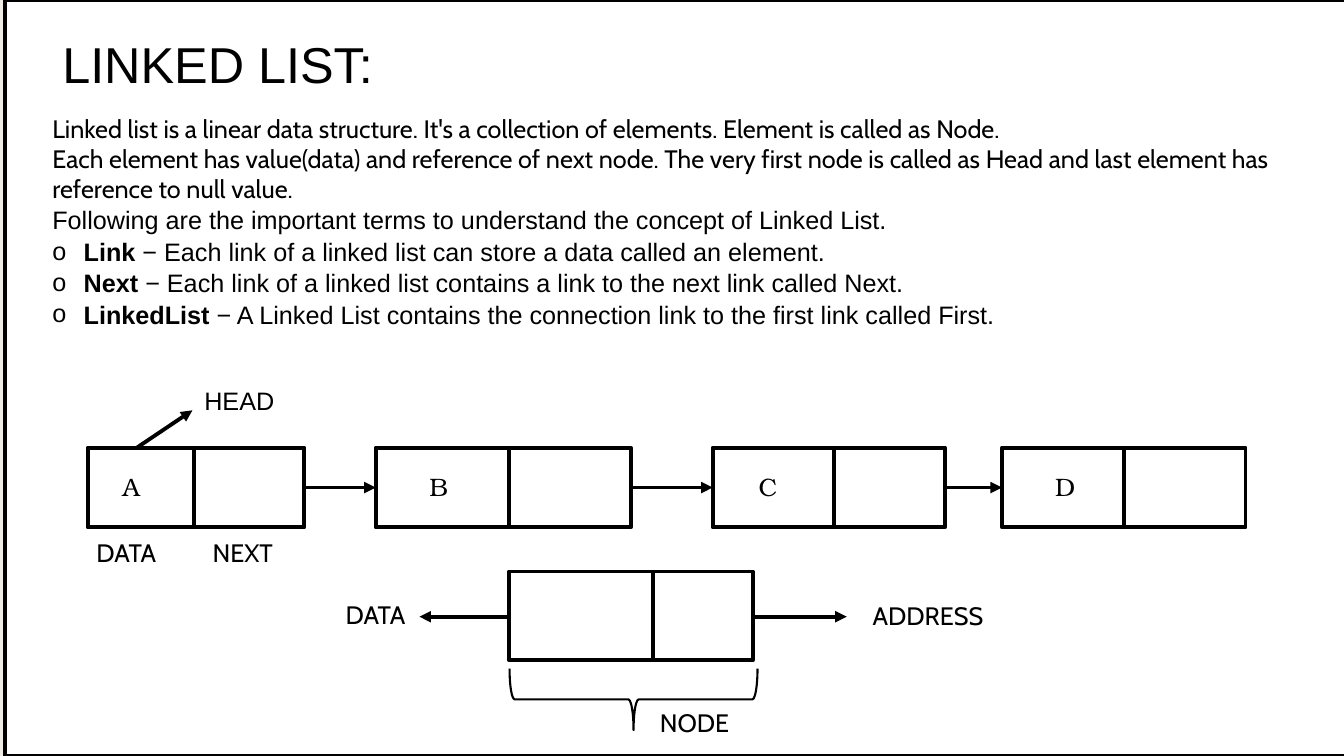
from lxml import etree
from pptx import Presentation
from pptx.dml import color
from pptx.enum import shapes, text
from pptx.oxml import ns
from pptx.util import Cm, Pt

BLACK, WHITE, PAPER = "000000", "FFFFFF", "EFEDE3"
SANS, LABEL, SERIF = "Arial", "Cabin", "TeX Gyre Bonum"
HEAVY, THIN = 2.75, 1.5
CHAIN_TOP, CHAIN_HEIGHT = 11.28, 2.01
DETAIL_TOP, DETAIL_HEIGHT = 14.4, 2.24
INDENT = 0.79

# letter, left edge, divider, right edge, left of the letter
CHAIN = [
    ("A", 2.21, 4.88, 7.67, 2.84),
    ("B", 9.47, 12.83, 15.9, 10.57),
    ("C", 17.96, 21.03, 23.82, 18.87),
    ("D", 25.25, 28.32, 31.39, 26.34),
]
# wording, left, top, width, font
CAPTIONS = [
    ("HEAD", 4.9, 9.58, 3, SANS),
    ("DATA", 2.18, 13.41, 2.6, LABEL),
    ("NEXT", 5.11, 13.41, 2.6, LABEL),
    ("DATA", 8.46, 14.99, 4.04, LABEL),
    ("ADDRESS", 21.74, 15.01, 4.45, LABEL),
    ("NODE", 16.38, 17.7, 4.19, LABEL),
]
INTRO = [
    "Linked list is a linear data structure. It's a collection of elements. "
    "Element is called as Node.",
    "Each element has value(data) and reference of next node. The very first node "
    "is called as Head and last element has reference to null value.",
]
TERMS_LEAD = "Following are the important terms to understand the concept of Linked List."
TERMS = [
    ("Link", "Each link of a linked list can store a data called an element."),
    ("Next", "Each link of a linked list contains a link to the next link called Next."),
    ("LinkedList", "A Linked List contains the connection link to the first link called First."),
]


def rgb(code):
    return color.RGBColor.from_string(code)


def add_run(paragraph, wording, font=SANS, size=18, bold=False, ink=BLACK):
    run = paragraph.add_run()
    run.text = wording
    run.font.name = font
    run.font.size = Pt(size)
    run.font.bold = bold
    run.font.color.rgb = rgb(ink)


def add_frame(slide, left, top, width, height):
    frame = slide.shapes.add_textbox(Cm(left), Cm(top), Cm(width), Cm(height)).text_frame
    frame.word_wrap = True
    frame.auto_size = text.MSO_AUTO_SIZE.SHAPE_TO_FIT_TEXT
    return frame


def add_label(slide, wording, left, top, width, height=1.02, **style):
    frame = add_frame(slide, left, top, width, height)
    add_run(frame.paragraphs[0], wording, **style)


def add_outline(slide, kind, left, top, width, height, fill=WHITE, weight=HEAVY):
    outline = slide.shapes.add_shape(kind, Cm(left), Cm(top), Cm(width), Cm(height))
    outline.shadow.inherit = False
    if fill:
        outline.fill.solid()
        outline.fill.fore_color.rgb = rgb(fill)
    else:
        outline.fill.background()
    outline.line.color.rgb = rgb(BLACK)
    outline.line.width = Pt(weight)
    return outline


def add_node(slide, left, divider, right, top, height):
    for start, end in ((left, divider), (divider, right)):
        add_outline(slide, shapes.MSO_SHAPE.RECTANGLE, start, top, end - start, height)


def add_arrow(slide, x1, y1, x2, y2):
    arrow = slide.shapes.add_connector(
        shapes.MSO_CONNECTOR.STRAIGHT, Cm(x1), Cm(y1), Cm(x2), Cm(y2))
    arrow.line.color.rgb = rgb(BLACK)
    arrow.line.width = Pt(HEAVY)
    etree.SubElement(arrow.line._get_or_add_ln(), ns.qn("a:tailEnd"), type="triangle")
    etree.SubElement(arrow._element.spPr, ns.qn("a:effectLst"))


def add_bullet(paragraph):
    props = paragraph._p.get_or_add_pPr()
    props.set("marL", str(Cm(INDENT)))
    props.set("indent", str(-Cm(INDENT)))
    etree.SubElement(props, ns.qn("a:buFont"), typeface=SANS)
    etree.SubElement(props, ns.qn("a:buChar"), char="o")


def add_description(slide):
    frame = add_frame(slide, 1.07, 2.72, 32.13, 5.7)
    for index, sentence in enumerate(INTRO):
        paragraph = frame.add_paragraph() if index else frame.paragraphs[0]
        add_run(paragraph, sentence, font=LABEL)

    def add_term_line():
        line = frame.add_paragraph()
        line.alignment = text.PP_ALIGN.JUSTIFY
        line.line_spacing = 1.04
        return line

    add_run(add_term_line(), TERMS_LEAD)
    for term, meaning in TERMS:
        item = add_term_line()
        add_bullet(item)
        add_run(item, term, bold=True)
        add_run(item, f"\u00a0\u2212 {meaning}")


def add_chain(slide):
    middle = CHAIN_TOP + CHAIN_HEIGHT / 2
    for letter, left, divider, right, letter_left in CHAIN:
        add_node(slide, left, divider, right, CHAIN_TOP, CHAIN_HEIGHT)
        add_label(slide, letter, letter_left, 11.76, 1.75, font=SERIF)
    for node, following in zip(CHAIN, CHAIN[1:]):
        add_arrow(slide, node[3], middle, following[1], middle)
    # Pointer to the head
    add_arrow(slide, 3.45, CHAIN_TOP, 4.85, 10.34)


def add_detail(slide):
    left, divider, right, level = 12.83, 16.46, 18.97, 15.54
    add_node(slide, left, divider, right, DETAIL_TOP, DETAIL_HEIGHT)
    add_arrow(slide, right, level, 21.34, level)
    add_arrow(slide, left, level, 10.57, level)
    brace = add_outline(slide, shapes.MSO_SHAPE.RIGHT_BRACE, 15.19, 14.5, 1.55, 6.25,
                        fill=None, weight=THIN)
    brace.rotation = 90


def main():
    deck = Presentation()
    deck.slide_width, deck.slide_height = Cm(33.87), Cm(19.05)
    slide = deck.slides.add_slide(deck.slide_layouts[6])

    # Page
    slide.background.fill.solid()
    slide.background.fill.fore_color.rgb = rgb(PAPER)
    add_outline(slide, shapes.MSO_SHAPE.RECTANGLE, 0.13, 0, 33.96, 19.05)

    # Title and explanation
    add_label(slide, "LINKED LIST:", 1.32, 0.71, 14.66, 1.8, size=36)
    add_description(slide)

    # Diagrams and their captions
    add_chain(slide)
    add_detail(slide)
    for wording, left, top, width, font in CAPTIONS:
        add_label(slide, wording, left, top, width, font=font)

    deck.save("out.pptx")


main()
